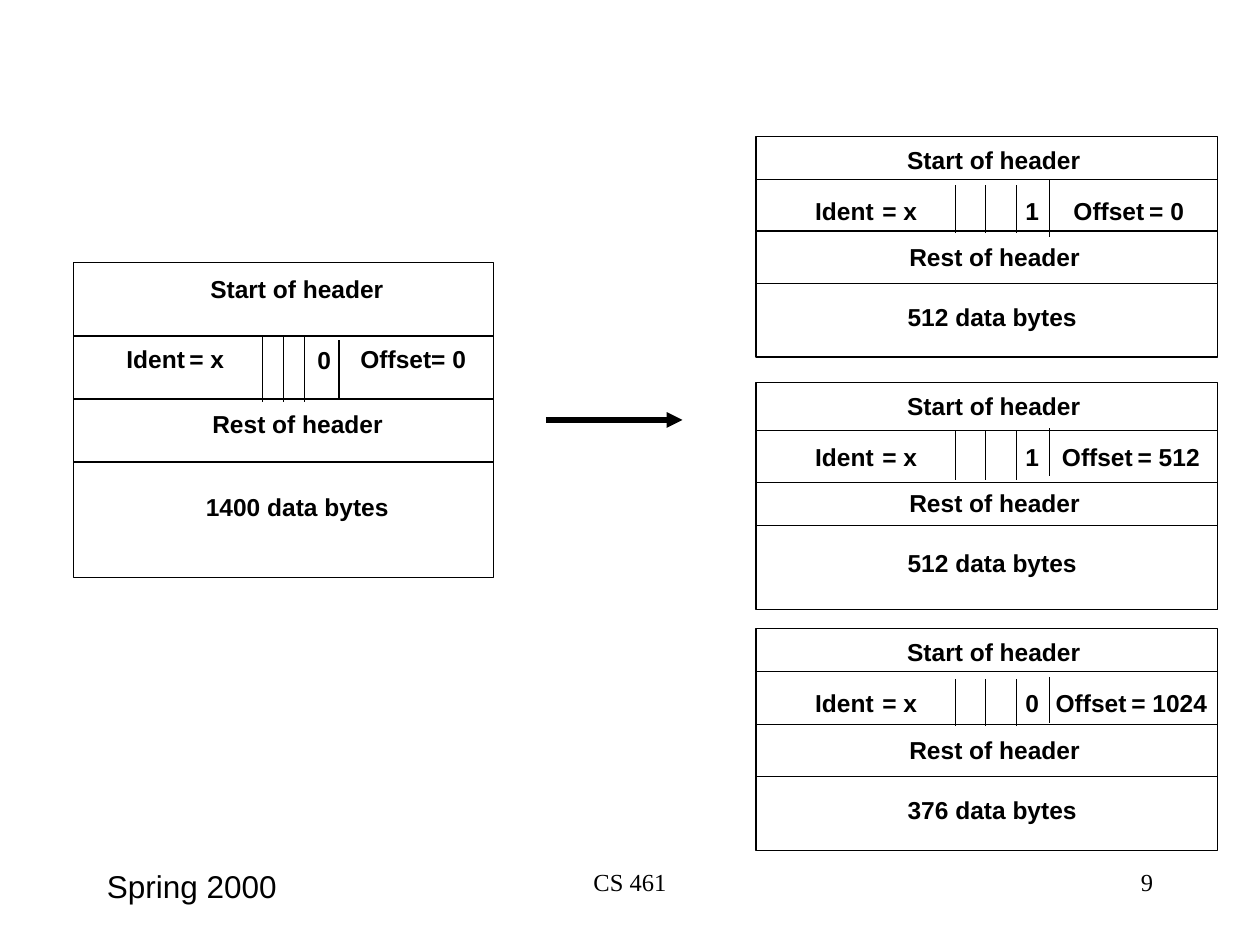
import pptx
import pptx.util
import pptx.dml.color
import pptx.enum.shapes
import pptx.enum.text
import pptx.oxml
import pptx.oxml.ns

Pt = pptx.util.Pt
Align = pptx.enum.text.PP_ALIGN
theme = {
    "ink": pptx.dml.color.RGBColor(0, 0, 0),
    "sans": "Arial", "serif": "Times New Roman",
    "label": 14, "date": 18,
    "thin": 0.62, "arrow": 3,
}

prs = pptx.Presentation()
prs.slide_width, prs.slide_height = Pt(720), Pt(540)
s = prs.slides.add_slide(prs.slide_layouts[6])


def add_text(text, x, y, w, h=16.8, font="sans", size="label", bold=True,
             align=None, label=True):
    sp = s.shapes.add_textbox(Pt(x), Pt(y), Pt(w), Pt(h))
    tf = sp.text_frame
    tf.word_wrap = not label
    if label:
        tf.auto_size = pptx.enum.text.MSO_AUTO_SIZE.SHAPE_TO_FIT_TEXT
        tf.margin_left = tf.margin_right = tf.margin_top = tf.margin_bottom = 0
    p = tf.paragraphs[0]
    p.alignment = align
    r = p.add_run()
    r.text = text
    r.font.name, r.font.size, r.font.bold = theme[font], Pt(theme[size]), bold
    r.font.color.rgb = theme["ink"]


def add_line(x1, y1, x2, y2, width="thin"):
    sp = s.shapes.add_connector(pptx.enum.shapes.MSO_CONNECTOR.STRAIGHT,
                                Pt(x1), Pt(y1), Pt(x2), Pt(y2))
    sp.line.color.rgb = theme["ink"]
    sp.line.width = Pt(theme[width])
    sp._element.spPr.append(pptx.oxml.parse_xml(
        "<a:effectLst %s/>" % pptx.oxml.ns.nsdecls("a")))
    return sp


# Packet geometry: x values are measured from the frame's left edge,
# y values from its top edge
whole = {
    "left": 42, "top": 150, "w": 240, "h": 180, "rows": (42, 78, 114),
    "bits": (108.2, 120, 132.2), "bit_y": (42, 79.5),
    "last": 151.7, "last_y": (44.4, 78),
    "start": (78.2, 6.5), "rest": (79.3, 83.6), "data": (75.6, 131.2),
    "ident": 30.2, "ident_value": 66.2, "field_y": 46.3, "flag": (139.4, 47.3),
    "offset": 163.9, "value_gap": 40.5,
    "texts": ("0", "= 0", "1400 data bytes"), "value_w": 20, "data_w": 107,
}
fragment = {
    "left": 432, "w": 264, "bits": (114.2, 131.4, 149),
    "last": 167.8, "start": (86.4, 4.7), "rest": (87.6, 60.4), "data": (86.6, 94.6),
    "ident": 33.8, "ident_value": 72.2, "field_y": 33.7, "flag": (154, 33.7),
    "value_gap": 43.3, "data_w": 99,
}
# Height, row lines, bit divider span, last divider span, offset x, texts, value width
variants = [
    (126, (24.7, 54, 84.2), (28, 55.4), (25, 57.6), 181.4,
     ("1", "= 0", "512 data bytes"), 20),
    (129.4, (27.4, 57.2, 81.5), (27.4, 55.4), (26, 53.3), 174.8,
     ("1", "= 512", "512 data bytes"), 36),
    (126.6, (24.5, 54.7, 84.4), (28.8, 55.4), (27.4, 54), 171.2,
     ("0", "= 1024", "376 data bytes"), 44),
]
keys = ("h", "rows", "bit_y", "last_y", "offset", "texts", "value_w")
packets = [whole]
for i, values in enumerate(variants):
    packets.append({**fragment, "top": 78 + 140.7 * i, **dict(zip(keys, values))})

# Draw every packet: frame, lines, then labels
for k in packets:
    x, y = k["left"], k["top"]
    sp = s.shapes.add_shape(pptx.enum.shapes.MSO_SHAPE.RECTANGLE,
                            Pt(x), Pt(y), Pt(k["w"]), Pt(k["h"]))
    sp.shadow.inherit = False
    sp.fill.background()
    sp.line.color.rgb = theme["ink"]
    sp.line.width = Pt(theme["thin"])

    for row in k["rows"]:
        add_line(x, y + row, x + k["w"], y + row)
    for bit in k["bits"]:
        add_line(x + bit, y + k["bit_y"][0], x + bit, y + k["bit_y"][1])
    add_line(x + k["last"], y + k["last_y"][0], x + k["last"], y + k["last_y"][1])

    flag, offset, data = k["texts"]
    field_y = k["field_y"]
    labels = [
        ("Start of header", *k["start"], 100),
        ("Ident", k["ident"], field_y, 34),
        ("= x", k["ident_value"], field_y, 20),
        (flag, *k["flag"], 8),
        ("Offset", k["offset"], field_y, 43),
        (offset, k["offset"] + k["value_gap"], field_y, k["value_w"]),
        ("Rest of header", *k["rest"], 98.5),
        (data, *k["data"], k["data_w"]),
    ]
    for text, dx, dy, w in labels:
        add_text(text, x + dx, y + dy, w)

# Arrow from the whole packet to its fragments
arrow = add_line(312, 240, 390, 240, "arrow")
arrow.line._get_or_add_ln().append(pptx.oxml.parse_xml(
    '<a:tailEnd %s type="triangle"/>' % pptx.oxml.ns.nsdecls("a")))

# Footer
footer = [
    ("Spring 2000", 54, 150, "sans", "date", Align.LEFT),
    ("CS 461", 246, 228, "serif", "label", Align.CENTER),
    ("9", 516, 150, "serif", "label", Align.RIGHT),
]
for text, x, w, font, size, align in footer:
    add_text(text, x, 492, w, 36, font, size, False, align, label=False)

prs.save("out.pptx")
